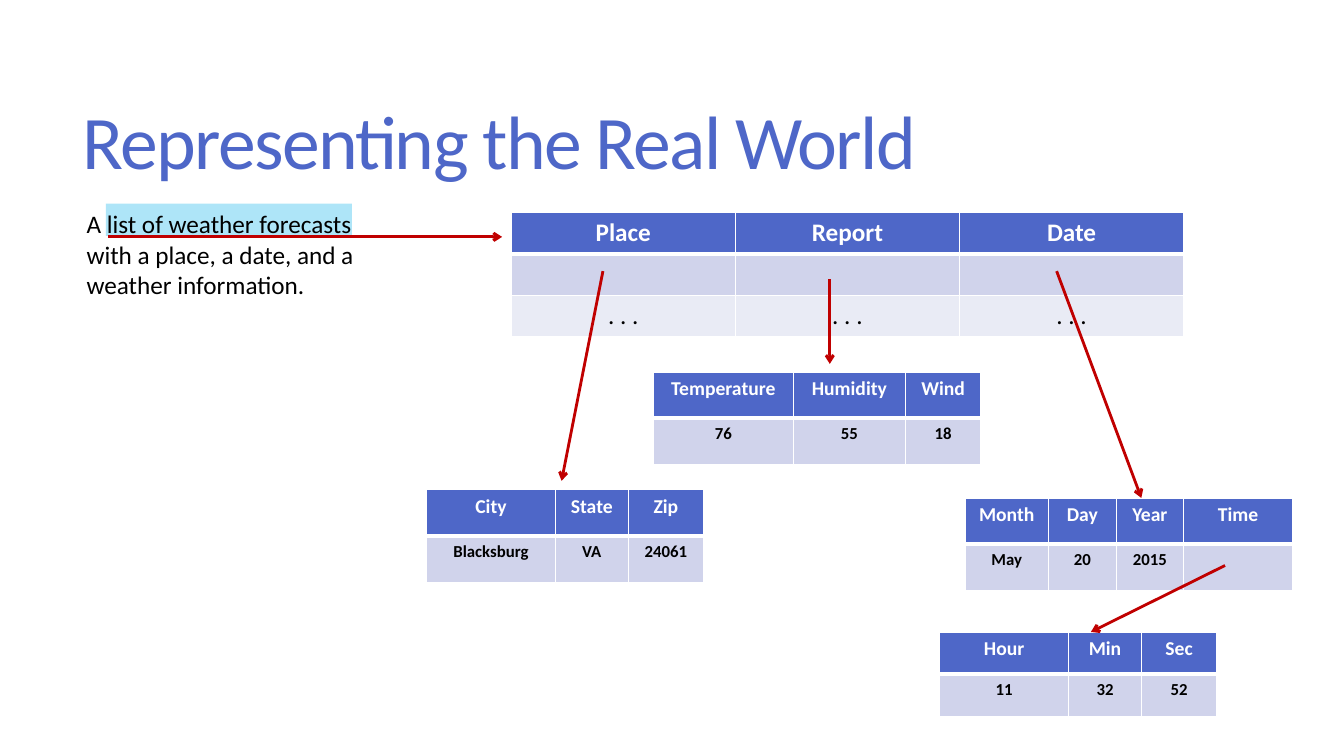
from lxml import etree
from pptx import Presentation
from pptx.dml.color import RGBColor
from pptx.enum.shapes import MSO_CONNECTOR, MSO_SHAPE
from pptx.enum.text import MSO_ANCHOR, MSO_AUTO_SIZE, PP_ALIGN
from pptx.oxml.ns import qn
from pptx.util import Inches, Pt

STRAIGHT = MSO_CONNECTOR.STRAIGHT
RECTANGLE = MSO_SHAPE.RECTANGLE
MIDDLE = MSO_ANCHOR.MIDDLE
CENTER = PP_ALIGN.CENTER
LEFT = PP_ALIGN.LEFT
GROW = MSO_AUTO_SIZE.SHAPE_TO_FIT_TEXT
TITLE_ONLY = 5
FONT = "Calibri"

COLORS = {
    "header": "4E67C8",
    "band": "D0D3EB",
    "light_band": "E9EBF5",
    "highlight": "5ECCF3",
    "arrow": "C00000",
    "white": "FFFFFF",
    "black": "000000",
}

FORECASTS = [["Place", "Report", "Date"], ["", "", ""], [". . ."] * 3]

RECORDS = [
    (4.23, 4.86, [1.28, 0.72, 0.75], 0.46,
     [["City", "State", "Zip"], ["Blacksburg", "VA", "24061"]]),
    (6.48, 3.69, [1.39, 1.11, 0.75], 0.46,
     [["Temperature", "Humidity", "Wind"], ["76", "55", "18"]]),
    (9.57, 4.94, [0.83, 0.67, 0.67, 1.08], 0.46,
     [["Month", "Day", "Year", "Time"], ["May", "20", "2015", ""]]),
    (9.32, 6.27, [1.28, 0.72, 0.75], 0.42,
     [["Hour", "Min", "Sec"], ["11", "32", "52"]]),
]

REFERENCES = [
    ((5.98, 2.69), (5.57, 4.77)),
    ((8.23, 2.77), (8.23, 3.61)),
    ((10.48, 2.69), (11.32, 4.94)),
    ((12.15, 5.61), (10.82, 6.27)),
]


def rgb(name):
    return RGBColor.from_string(COLORS[name])


def format_text(paragraph, size, color, bold=False, align=LEFT):
    paragraph.alignment = align
    font = paragraph.font
    for target in [font] + [run.font for run in paragraph.runs]:
        target.name = FONT
        target.size = Pt(size)
        target.bold = bold
        target.color.rgb = rgb(color)


def add_title(slide, text):
    title = slide.shapes.title
    title.left, title.top = Inches(0.72), Inches(0.55)
    title.width, title.height = Inches(11.78), Inches(1.81)
    frame = title.text_frame
    frame.text = text
    frame.vertical_anchor = MIDDLE
    frame.word_wrap = True
    paragraph = frame.paragraphs[0]
    paragraph.line_spacing = 0.85
    format_text(paragraph, 54, "header")
    paragraph.runs[0].font._element.set("spc", "-120")


def set_borders(cell, top, bottom):
    properties = cell._tc.get_or_add_tcPr()
    widths = {"a:lnL": 1, "a:lnR": 1, "a:lnT": top, "a:lnB": bottom}
    for tag, width in widths.items():
        line = etree.SubElement(properties, qn(tag), w=str(Pt(width)))
        fill = etree.SubElement(line, qn("a:solidFill"))
        etree.SubElement(fill, qn("a:srgbClr"), val=COLORS["white"])


def add_record_table(slide, left, top, widths, row_height, rows,
                     header_size=14, body_size=12, body_bold=True):
    table = slide.shapes.add_table(
        len(rows), len(widths), Inches(left), Inches(top),
        Inches(sum(widths)), Inches(row_height * len(rows))).table
    for column, width in zip(table.columns, widths):
        column.width = Inches(width)
    fills = ["header", "band", "light_band"]
    for r, values in enumerate(rows):
        table.rows[r].height = Inches(row_height)
        is_header = r == 0
        for c, value in enumerate(values):
            cell = table.cell(r, c)
            set_borders(cell, 3 if r == 1 else 1, 3 if is_header else 1)
            cell.fill.solid()
            cell.fill.fore_color.rgb = rgb(fills[r])
            cell.text_frame.text = value
            format_text(cell.text_frame.paragraphs[0],
                        header_size if is_header else body_size,
                        "white" if is_header else "black",
                        is_header or body_bold, CENTER)


def add_arrow(slide, start, end):
    points = [Inches(value) for value in (*start, *end)]
    arrow = slide.shapes.add_connector(STRAIGHT, *points)
    arrow.line.color.rgb = rgb("arrow")
    arrow.line.width = Pt(2)
    etree.SubElement(arrow.line._get_or_add_ln(), qn("a:tailEnd"), type="arrow")
    etree.SubElement(arrow._element.spPr, qn("a:effectLst"))


def add_highlight(slide, left, top, width, height):
    highlight = slide.shapes.add_shape(
        RECTANGLE, Inches(left), Inches(top), Inches(width), Inches(height))
    highlight.shadow.inherit = False
    highlight.line.fill.background()
    highlight.fill.solid()
    highlight.fill.fore_color.rgb = rgb("highlight")
    color = highlight._element.spPr.find(".//" + qn("a:srgbClr"))
    etree.SubElement(color, qn("a:alpha"), val="50000")


def add_description(slide, text):
    description = slide.shapes.add_textbox(
        Inches(0.76), Inches(2.02), Inches(2.95), Inches(1.01))
    frame = description.text_frame
    frame.word_wrap = True
    frame.auto_size = GROW
    frame.text = text
    format_text(frame.paragraphs[0], 18, "black")


def main():
    prs = Presentation()
    prs.slide_width, prs.slide_height = Inches(13.33), Inches(7.5)
    slide = prs.slides.add_slide(prs.slide_layouts[TITLE_ONLY])
    add_title(slide, "Representing the Real World")
    add_record_table(slide, 5.07, 2.11, [6.67 / 3] * 3, 0.41, FORECASTS,
                     header_size=18, body_size=18, body_bold=False)
    for record in RECORDS:
        add_record_table(slide, *record)
    for start, end in REFERENCES:
        add_arrow(slide, start, end)
    add_highlight(slide, 1.05, 2.02, 2.44, 0.32)
    add_arrow(slide, (1.07, 2.35), (4.98, 2.35))
    add_description(slide, "A list of weather forecasts with a place, a date, "
                           "and a weather information.")
    prs.save("out.pptx")


if __name__ == "__main__":
    main()
